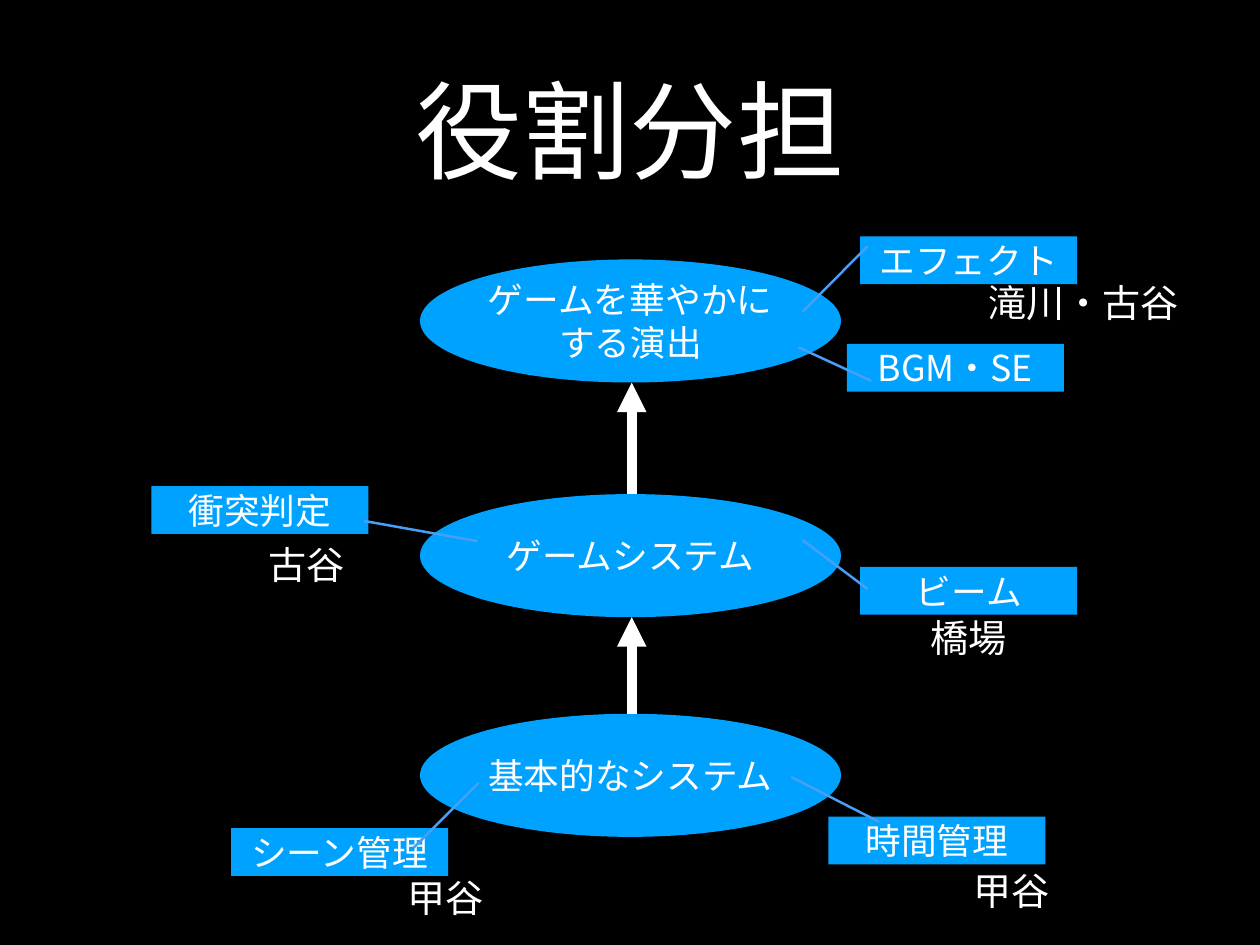
import dataclasses

import pptx
import pptx.dml.color
import pptx.enum.shapes
import pptx.enum.text
import pptx.oxml.ns
import pptx.util
from lxml import etree

Cm = pptx.util.Cm
SHAPE = pptx.enum.shapes.MSO_SHAPE


@dataclasses.dataclass(frozen=True)
class Theme:
    font: str = "Noto Sans CJK JP"
    background: str = "000000"
    text: str = "FFFFFF"
    node: str = "00A2FF"
    link: str = "489FF8"
    title_size: int = 87
    node_size: int = 29
    member_size: int = 31
    arrow_width: int = 8
    link_width: int = 2
    inset: float = 0.15


def rgb(value):
    return pptx.dml.color.RGBColor.from_string(value)


class DiagramSlide:
    def __init__(self, presentation, theme):
        self.theme = theme
        self.slide = presentation.slides.add_slide(presentation.slide_layouts[5])
        fill = self.slide.background.fill
        fill.solid()
        fill.fore_color.rgb = rgb(theme.background)

    def set_text(self, shape, text, size, wrap=True):
        frame = shape.text_frame
        frame.text = text
        frame.word_wrap = wrap
        frame.auto_size = pptx.enum.text.MSO_AUTO_SIZE.NONE
        frame.vertical_anchor = pptx.enum.text.MSO_ANCHOR.MIDDLE
        frame.margin_left = frame.margin_right = Cm(self.theme.inset)
        frame.margin_top = frame.margin_bottom = Cm(self.theme.inset)
        for paragraph in frame.paragraphs:
            paragraph.alignment = pptx.enum.text.PP_ALIGN.CENTER
            for run in paragraph.runs:
                run.font.size = pptx.util.Pt(size)
                run.font.color.rgb = rgb(self.theme.text)
                run.font.name = self.theme.font
                # East Asian glyphs take their own typeface entry
                latin = run.font._element.find(pptx.oxml.ns.qn("a:latin"))
                east_asian = etree.Element(pptx.oxml.ns.qn("a:ea"))
                east_asian.set("typeface", self.theme.font)
                latin.addnext(east_asian)

    def title(self, text, left, top, width, height):
        heading = self.slide.shapes.title
        heading.left, heading.top = Cm(left), Cm(top)
        heading.width, heading.height = Cm(width), Cm(height)
        self.set_text(heading, text, self.theme.title_size)

    def node(self, kind, text, left, top, width, height):
        node = self.slide.shapes.add_shape(
            kind, Cm(left), Cm(top), Cm(width), Cm(height))
        node.shadow.inherit = False
        node.fill.solid()
        node.fill.fore_color.rgb = rgb(self.theme.node)
        node.line.fill.background()
        self.set_text(node, text, self.theme.node_size)

    def member(self, text, left, top, width, height):
        member = self.slide.shapes.add_textbox(
            Cm(left), Cm(top), Cm(width), Cm(height))
        self.set_text(member, text, self.theme.member_size, wrap=False)

    def line(self, start, end, color, width):
        line = self.slide.shapes.add_connector(
            pptx.enum.shapes.MSO_CONNECTOR.STRAIGHT, *map(Cm, start + end))
        line.line.color.rgb = rgb(color)
        line.line.width = pptx.util.Pt(width)
        etree.SubElement(line._element.spPr, pptx.oxml.ns.qn("a:effectLst"))
        return line

    def link(self, start, end):
        self.line(start, end, self.theme.link, self.theme.link_width)

    def arrow(self, start, end):
        arrow = self.line(start, end, self.theme.text, self.theme.arrow_width)
        outline = arrow._element.spPr.find(pptx.oxml.ns.qn("a:ln"))
        etree.SubElement(outline, pptx.oxml.ns.qn("a:tailEnd")).set("type", "triangle")


presentation = pptx.Presentation()
presentation.slide_width = Cm(36.12)
presentation.slide_height = Cm(27.1)
roles = DiagramSlide(presentation, Theme())
roles.title("役割分担", 2.64, 0.71, 30.84, 5.99)

# Layers of the game, from the base upwards
LAYER_LEFT, LAYER_WIDTH, LAYER_HEIGHT = 12.04, 12.07, 3.53
layers = [
    ("基本的なシステム", 20.47),
    ("ゲームシステム", 14.17),
    ("ゲームを華やかにする演出", 7.44),
]
for name, top in layers:
    roles.node(SHAPE.OVAL, name, LAYER_LEFT, top, LAYER_WIDTH, LAYER_HEIGHT)

# Each layer supports the one above it
ARROW_X = 18.11
for (_, lower_top), (_, upper_top) in zip(layers, layers[1:]):
    roles.arrow((ARROW_X, lower_top), (ARROW_X, upper_top + LAYER_HEIGHT))

# Tasks: name, left and top, link start, link end
TASK_SIZE = (6.22, 1.37)
tasks = [
    ("エフェクト", (24.66, 6.78), (23.01, 8.94), (24.87, 7.06)),
    ("BGM・SE", (24.28, 9.86), (22.89, 9.96), (24.97, 10.92)),
    ("衝突判定", (4.34, 13.94), (10.44, 14.94), (13.69, 15.52)),
    ("ビーム", (24.66, 16.26), (23.01, 15.49), (24.87, 16.89)),
    ("シーン管理", (6.63, 23.75), (11.86, 24.31), (13.72, 22.45)),
    ("時間管理", (23.75, 23.42), (22.68, 22.28), (25.2, 23.57)),
]
for name, corner, _, _ in tasks:
    roles.node(SHAPE.RECTANGLE, name, *corner, *TASK_SIZE)
for _, _, start, end in tasks:
    roles.link(start, end)

# Members in charge: name, left, top, width
MEMBER_HEIGHT = 1.4
members = [
    ("古谷", 7.54, 15.49, 2.51),
    ("滝川・古谷", 27.79, 7.98, 6.53),
    ("橋場", 26.52, 17.58, 2.51),
    ("甲谷", 11.53, 25.04, 2.51),
    ("甲谷", 27.74, 24.82, 2.51),
]
for name, left, top, width in members:
    roles.member(name, left, top, width, MEMBER_HEIGHT)

presentation.save("out.pptx")
